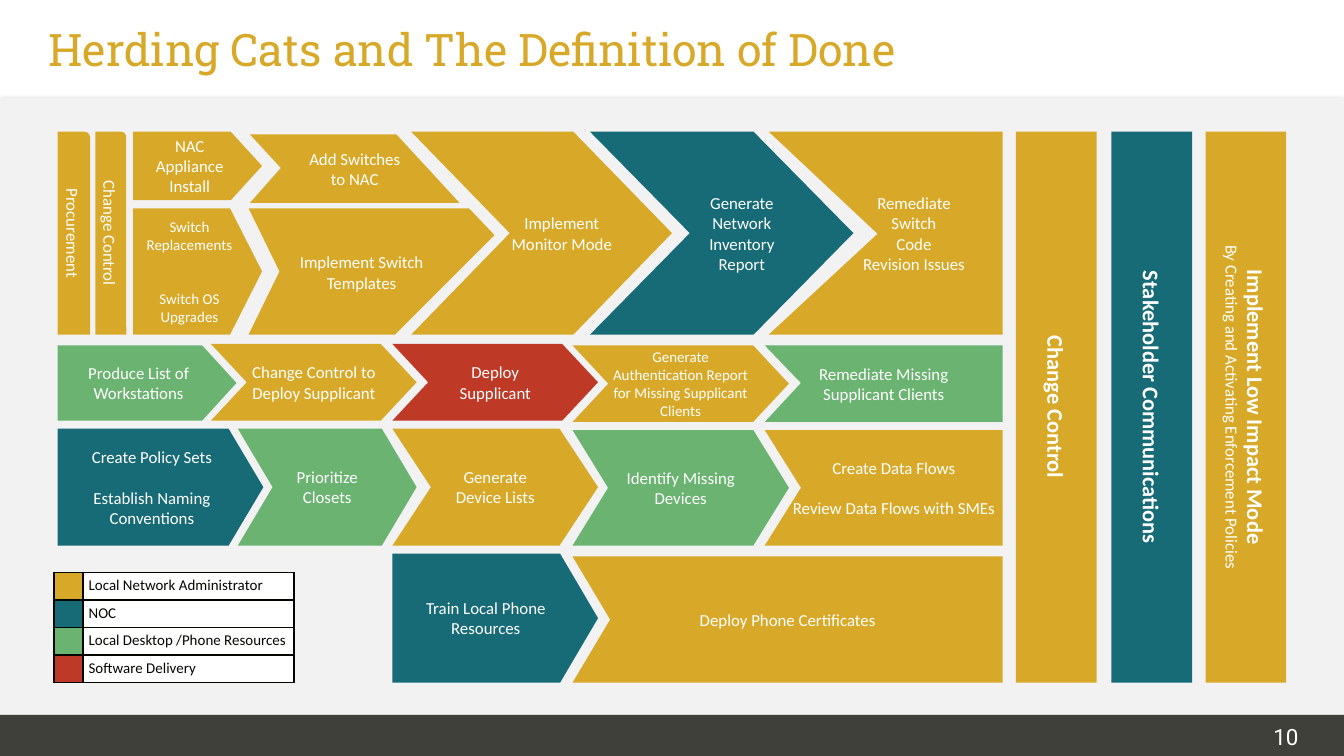
"""Build the slide on herding cats and the definition of done."""
from lxml.etree import SubElement
from pptx import Presentation
from pptx.dml.color import RGBColor
from pptx.enum.shapes import MSO_SHAPE as Kind
from pptx.enum.text import MSO_ANCHOR as Anchor, PP_ALIGN as Align
from pptx.oxml.ns import qn
from pptx.util import Pt

PX = 9144
GOLD = RGBColor(0xD8, 0xA9, 0x28)
TEAL = RGBColor(0x17, 0x6B, 0x76)
GREEN = RGBColor(0x6B, 0xB3, 0x71)
RED = RGBColor(0xBE, 0x39, 0x26)
WHITE = RGBColor(0xFF, 0xFF, 0xFF)
PALE = RGBColor(0xF2, 0xF2, 0xF2)
DARK = RGBColor(0x40, 0x40, 0x3B)
INK = RGBColor(0x05, 0x05, 0x00)
HOME, CHEV, RECT, TAB = Kind.PENTAGON, Kind.CHEVRON, Kind.RECTANGLE, Kind.ROUND_1_RECTANGLE
PAD = (10, 5, 10, 5)
SLIM = (0, 5, 0, 5)
PUSH = (30, 0, 0, 0)


def paint(shape, color):
    shape.shadow.inherit = False
    shape.fill.solid()
    shape.fill.fore_color.rgb = color
    shape.line.fill.background()


def write(frame, lines, size, pad=PAD, gap=0, bold=False, face="Calibri", color=WHITE, align=Align.CENTER):
    frame.margin_left, frame.margin_top, frame.margin_right, frame.margin_bottom = [n * PX for n in pad]
    frame.vertical_anchor = Anchor.MIDDLE
    for i, line in enumerate(lines):
        para = frame.paragraphs[0]
        if para.runs:
            para = frame.add_paragraph()
        para.alignment = align
        if i and gap:
            para.space_before = Pt(gap)
        run = para.add_run()
        run.text = line
        font = run.font
        font.name, font.size, font.bold = face, Pt(size), bold
        font.color.rgb = color


deck = Presentation()
deck.slide_width = 1000 * PX
deck.slide_height = deck.slide_width * 9 // 16
slide = deck.slides.add_slide(deck.slide_layouts[5])
shapes = slide.shapes

title = shapes.title
title.left, title.top, title.width, title.height = 26 * PX, 0, 950 * PX, 72 * PX
title.text_frame.word_wrap = True
write(title.text_frame, ["Herding Cats and The Definition of Done"], 24,
      face="Roboto Slab", color=GOLD, align=Align.LEFT)

body = shapes.add_shape(RECT, 0, 73 * PX, 1000 * PX, 459 * PX)
paint(body, PALE)
glow = SubElement(body.element.spPr.find(qn("a:effectLst")), qn("a:outerShdw"),
                  blurRad=str(Pt(3.1)), dist=str(Pt(1.8)), dir="5400000", algn="t", rotWithShape="0")
tone = SubElement(glow, qn("a:srgbClr"), val="000000")
SubElement(tone, qn("a:alpha"), val="35000")
foot = shapes.add_shape(RECT, 0, 532 * PX, 1000 * PX, 31 * PX)
paint(foot, DARK)

STEPS = [
    (HOME, 99, 98, 96, 51, 0.456, GOLD, 9, ["NAC Appliance Install"], PAD, 0),
    (HOME, 99, 155, 96, 94, 0.253, GOLD, 8, ["Switch Replacements", "Switch OS Upgrades"], PAD, 19.5),
    (CHEV, 306, 98, 194, 151, 0.486, GOLD, 9, ["Implement", "Monitor Mode"], PUSH, 0),
    (CHEV, 439, 98, 196, 151, 0.492, TEAL, 9, ["Generate", "Network", "Inventory", "Report"], PUSH, 0),
    (HOME, 43, 257, 133, 56, 0.456, GREEN, 9, ["Produce List of Workstations"], PAD, 0),
    (CHEV, 157, 256, 153, 57, 0.467, GOLD, 9, ["Change Control to Deploy Supplicant"], SLIM, 0),
    (CHEV, 292, 256, 153, 57, 0.467, RED, 9, ["Deploy Supplicant"], PAD, 0),
    (CHEV, 426, 257, 161, 57, 0.467, GOLD, 8,
     ["Generate Authentication Report for Missing Supplicant Clients"], SLIM, 0),
    (HOME, 43, 319, 153, 87, 0.297, TEAL, 9,
     ["Create Policy Sets", "Establish Naming Conventions"], PAD, 11),
    (CHEV, 177, 319, 133, 87, 0.297, GREEN, 9, ["Prioritize Closets"], PAD, 0),
    (CHEV, 292, 319, 153, 87, 0.329, GOLD, 9, ["Generate Device Lists"], PAD, 0),
    (CHEV, 426, 320, 161, 86, 0.308, GREEN, 9, ["Identify Missing Devices"], PAD, 0),
    (HOME, 292, 412, 153, 96, 0.294, TEAL, 9, ["Train Local Phone Resources"], PAD, 0),
]
for kind, x, y, w, h, bend, color, size, lines, pad, gap in STEPS:
    step = shapes.add_shape(kind, x * PX, y * PX, w * PX, h * PX)
    step.adjustments[0] = bend
    paint(step, color)
    step.text_frame.word_wrap = pad != PUSH
    write(step.text_frame, lines, size, pad, gap)

ENDS = [
    ([(186, 100), (295, 100), (342, 151), (186, 151), (209, 125)], GOLD,
     ["Add Switches", "to NAC"], PAD, 0),
    ([(185, 155), (349, 155), (368, 175), (294, 249), (185, 249), (208, 202)], GOLD, [], PAD, 0),
    ([(572, 98), (746, 98), (746, 249), (572, 249), (653, 174)], GOLD,
     ["Remediate", "Switch", "Code", "Revision Issues"], (45, 0, 3, 0), 0),
    ([(569, 257), (746, 257), (746, 314), (569, 314), (596, 285)], GREEN,
     ["Remediate Missing", "Supplicant Clients"], PAD, 0),
    ([(569, 320), (746, 320), (746, 406), (569, 406), (596, 363)], GOLD,
     ["Create Data Flows", "Review Data Flows with SMEs"], (15, 5, 0, 5), 11),
    ([(426, 414), (746, 414), (746, 508), (426, 508), (454, 461)], GOLD,
     ["Deploy Phone Certificates"], PAD, 0),
]
for spots, color, lines, pad, gap in ENDS:
    pen = shapes.build_freeform(*spots[0], scale=PX)
    pen.add_line_segments(spots[1:], close=True)
    end = pen.convert_to_shape()
    paint(end, color)
    end.text_frame.word_wrap = True
    write(end.text_frame, lines, 9, pad, gap)

BARS = [
    (TAB, 43, 24, 151, GOLD, 9, "Procurement"),
    (TAB, 71, 23, 151, GOLD, 9, "Change Control"),
    (RECT, 756, 60, 410, GOLD, 12, "Change Control"),
    (RECT, 827, 60, 410, TEAL, 12, "Stakeholder Communications"),
    (RECT, 897, 60, 410, GOLD, 12, "Implement Low Impact Mode"),
]
for kind, x, w, h, color, size, line in BARS:
    bar = shapes.add_shape(kind, x * PX, 98 * PX, w * PX, h * PX)
    paint(bar, color)
    bar.element.txBody.bodyPr.set("vert", "vert")
    write(bar.text_frame, [line], size, bold=kind == RECT)
write(bar.text_frame, ["By Creating and Activating Enforcement Policies"], 9)

note = shapes.add_textbox(219 * PX, 172 * PX, 100 * PX, 61 * PX).text_frame
note.word_wrap = True
write(note, ["Implement Switch", "Templates"], 9, (0, 0, 0, 0))

page = shapes.add_textbox(743 * PX, 533 * PX, 233 * PX, 30 * PX).text_frame
page.word_wrap = True
write(page, ["10"], 12, face="Roboto", align=Align.RIGHT)

KEYS = [
    (GOLD, "Local Network Administrator"),
    (TEAL, "NOC"),
    (GREEN, "Local Desktop /Phone Resources"),
    (RED, "Software Delivery"),
]
key = shapes.add_table(len(KEYS), 2, 40 * PX, 426 * PX, 179 * PX, 82 * PX).table
key.first_row = key.horz_banding = False
key.columns[0].width, key.columns[1].width = 22 * PX, 157 * PX
for row, (color, label) in enumerate(KEYS):
    for col, fill in enumerate((color, WHITE)):
        cell = key.cell(row, col)
        for side in ("lnL", "lnR", "lnT", "lnB"):
            edge = SubElement(cell._tc.get_or_add_tcPr(), qn("a:" + side), w=str(Pt(1)))
            SubElement(SubElement(edge, qn("a:solidFill")), qn("a:srgbClr"), val=str(INK))
        cell.fill.solid()
        cell.fill.fore_color.rgb = fill
        cell.margin_left, cell.margin_top, cell.margin_right, cell.margin_bottom = 4 * PX, PX, PX, 4 * PX
        cell.vertical_anchor = Anchor.BOTTOM
        para = cell.text_frame.paragraphs[0]
        if col:
            run = para.add_run()
            run.text = label
            run.font.name, run.font.size = "Calibri", Pt(8)
            run.font.color.rgb = INK
        else:
            SubElement(para._p, qn("a:endParaRPr"), sz="800")

deck.save("out.pptx")
